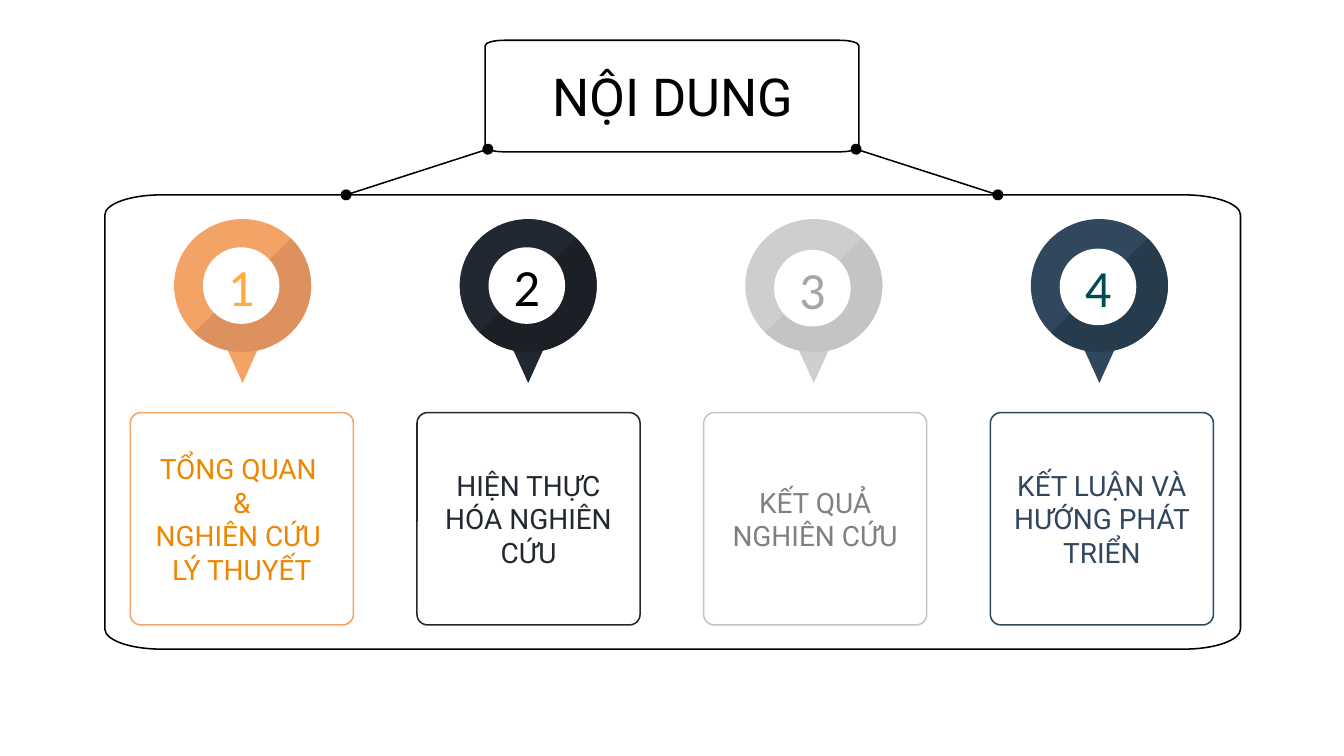
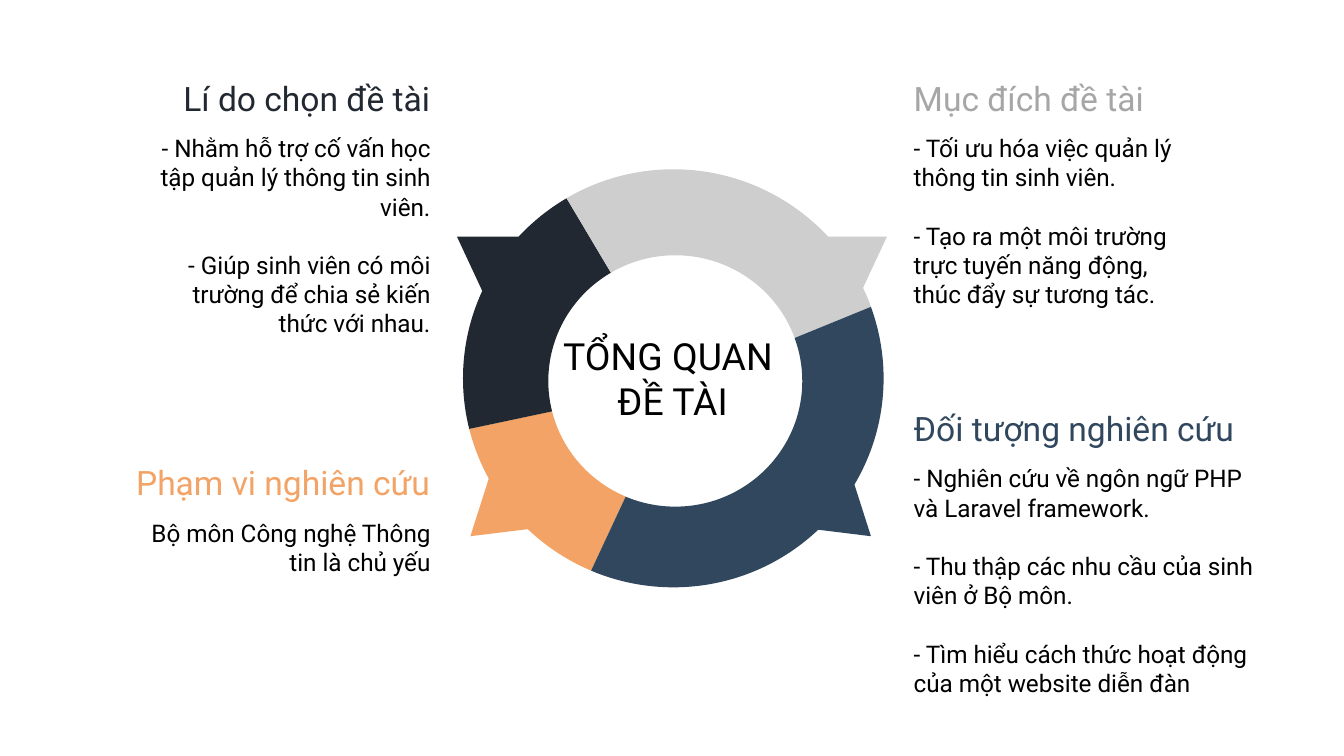
import math

import lxml.etree
import pptx
import pptx.dml.color
import pptx.enum.shapes
import pptx.enum.text
import pptx.oxml.ns
import pptx.util

PRESET = pptx.enum.shapes.MSO_SHAPE
ALIGN = pptx.enum.text.PP_ALIGN
ANCHOR = pptx.enum.text.MSO_ANCHOR
qn = pptx.oxml.ns.qn

COLORS = {
    "black": "000000", "white": "FFFFFF",
    "orange": "F2A365", "orange_shade": "DD915E", "orange_text": "EF8600", "amber": "FFAB40",
    "dark": "222831", "dark_shade": "1B1F26",
    "gray": "CECECE", "gray_shade": "C4C4C4", "gray_text": "808080", "gray_title": "A6A6A6",
    "blue": "30475E", "blue_shade": "263C4C", "teal": "004C54",
}
FONT = "Roboto"
NUMBER_FONT = "Calibri"
LINE_WIDTH = pptx.util.Pt(0.81)
INSET = pptx.util.Inches(0.1)

deck = pptx.Presentation()
deck.slide_width = pptx.util.Inches(10)
deck.slide_height = pptx.util.Inches(5.625)
# The grid has 100 columns and 56.25 rows of equal size.
CELL = deck.slide_width // 100
blank = deck.slide_layouts[6]


def draw(slide, outline, box=None, fill=None, line=None):
    """Add a preset, a text box (None) or an outline, in grid cells.

    An outline lists points (x, y) and arcs (x, y, radius x, radius y, start, end),
    with angles in degrees, clockwise from the right.
    """
    if outline is None or not isinstance(outline, list):
        frame = [round(length * CELL) for length in box]
        if outline is None:
            return slide.shapes.add_textbox(*frame)
        shape = slide.shapes.add_shape(outline, *frame)
    else:
        points, curves = [], []
        for x, y, *arc in outline:
            if not arc:
                points.append((x, y))
                continue
            radius_x, radius_y, start, end = arc
            low, high = sorted((start, end))
            stops = [low, *(a for a in range(-360, 361, 90) if low < a < high), high]
            if end < start:
                stops.reverse()
            for first, last in zip(stops, stops[1:]):
                a, b = math.radians(first), math.radians(last)
                pull = 4 / 3 * math.tan((b - a) / 4)
                unit = [(math.cos(a), math.sin(a)),
                        (math.cos(a) - pull * math.sin(a), math.sin(a) + pull * math.cos(a)),
                        (math.cos(b) + pull * math.sin(b), math.sin(b) - pull * math.cos(b)),
                        (math.cos(b), math.sin(b))]
                if first != start:
                    unit = unit[1:]
                points += [(x + radius_x * u, y + radius_y * v) for u, v in unit]
                curves.append(len(points) - 3)
        points = [(round(x * CELL), round(y * CELL)) for x, y in points]
        builder = slide.shapes.build_freeform(*points[0])
        builder.add_line_segments(points[1:], close=True)
        shape = builder.convert_to_shape()
        steps = list(next(shape.element.iter(qn("a:moveTo"))).getparent())
        for index in curves:
            curve = lxml.etree.Element(qn("a:cubicBezTo"))
            steps[index].addprevious(curve)
            for step in steps[index:index + 3]:
                curve.append(step[0])
                step.getparent().remove(step)
    shape.shadow.inherit = False
    for paint, color in ((shape.fill, fill), (shape.line.fill, line)):
        if color:
            paint.solid()
            paint.fore_color.rgb = pptx.dml.color.RGBColor.from_string(COLORS[color])
        else:
            paint.background()
    if line:
        shape.line.width = LINE_WIDTH
    return shape


def write(shape, lines, size, color, align=ALIGN.CENTER, anchor=ANCHOR.MIDDLE,
          font=FONT, inset=INSET, gap=0):
    """Fill the shape with one paragraph per line, gap points apart."""
    frame = shape.text_frame
    frame.text = "\n".join(lines)
    frame.word_wrap = True
    frame.vertical_anchor = anchor
    frame.margin_left = frame.margin_right = frame.margin_top = frame.margin_bottom = inset
    for index, para in enumerate(frame.paragraphs):
        para.alignment = align
        if index and gap:
            para.space_before = pptx.util.Pt(gap)
        for span in para.runs:
            span.font.name = font
            span.font.size = pptx.util.Pt(size)
            span.font.color.rgb = pptx.dml.color.RGBColor.from_string(COLORS[color])


# Slide 1: contents
contents = deck.slides.add_slide(blank)

CARD_LEFT, CARD_STEP, CARD_WIDTH = 9.7, 21.33, 16.6
PIN_MIDDLE, PIN_STEP = 18.05, 21.25
sections = [
    ("orange", "orange_shade", "orange", "orange_text", "amber", 18.4,
     ["TỔNG QUAN ", "&", "NGHIÊN CỨU ", "LÝ THUYẾT"]),
    ("dark", "dark_shade", "dark", "dark", "black", 18.4,
     ["HIỆN THỰC HÓA NGHIÊN CỨU"]),
    ("gray", "gray_shade", "gray_shade", "gray_text", "gray_title", 18.6,
     ["KẾT QUẢ NGHIÊN CỨU"]),
    ("blue", "blue_shade", "blue", "blue", "teal", 18.5,
     ["KẾT LUẬN VÀ HƯỚNG PHÁT TRIỂN"]),
]
for index, (ring, shade, border, text, number, hole_top, label) in enumerate(sections):
    left = CARD_LEFT + index * CARD_STEP
    card = draw(contents, PRESET.ROUNDED_RECTANGLE, (left, 30.7, CARD_WIDTH, 15.8), line=border)
    card.adjustments[0] = 0.05
    write(card, label, 15, text)

    middle = PIN_MIDDLE + index * PIN_STEP
    draw(contents, PRESET.FLOWCHART_MERGE, (middle - 1.45, 25.3, 2.9, 3.2), fill=ring)
    draw(contents, PRESET.OVAL, (middle - 5.1, 16.3, 10.2, 9.9), fill=ring)
    draw(contents, [(middle, 21.25, 5.1, 4.95, -45, 135)], fill=shade)
    hole = draw(contents, PRESET.OVAL, (middle - 2.95, hole_top, 5.7, 5.7), fill="white")
    write(hole, [str(index + 1)], 28, number, font=NUMBER_FONT, inset=0)

title = draw(contents, None, (7.8, 4.5, 84.5, 5.3))
write(title, ["NỘI DUNG"], 28, "black")

# Frames with elliptical corners: left, top, right, bottom, corner width, corner height
for left, top, right, bottom, corner_x, corner_y in [
        (36.1, 3, 63.9, 11.3, 1.4, 0.4), (7.8, 14.5, 92.3, 48.3, 4.2, 1.5)]:
    corners = [(right - corner_x, bottom - corner_y), (left + corner_x, bottom - corner_y),
               (left + corner_x, top + corner_y), (right - corner_x, top + corner_y)]
    draw(contents, [(x, y, corner_x, corner_y, 90 * quarter, 90 * quarter + 90)
                    for quarter, (x, y) in enumerate(corners)], line="black")

for ends in [(25.75, 14.5, 36.3, 11.1), (63.7, 11.1, 74.25, 14.5)]:
    link = contents.shapes.add_connector(pptx.enum.shapes.MSO_CONNECTOR.STRAIGHT,
                                         *[round(length * CELL) for length in ends])
    link.line.width = LINE_WIDTH
    link.line.color.rgb = pptx.dml.color.RGBColor.from_string(COLORS["black"])
    for tag in ("a:headEnd", "a:tailEnd"):
        lxml.etree.SubElement(link.line.fill._xPr, qn(tag), type="oval", w="med", len="med")
    lxml.etree.SubElement(link.element.spPr, qn("a:effectLst"))

# Slide 2: overview
overview = deck.slides.add_slide(blank)

# Ring edges: centre x, centre y, radius x, radius y
OUTER = (50.1, 28.15, 15.65, 15.55)
INNER = (50.25, 28.35, 9.45, 9.35)
for color, start, end in [("orange", 113, 166), ("dark", 166, 239.5),
                          ("gray", 239.5, 340), ("blue", -20, 113)]:
    draw(overview, [(*OUTER, start, end), (*INNER, end, start)], fill=color)

# Pointers on the right, mirrored to the left about half of the given sum
for right_color, left_color, mirror, pointer in [
        ("gray", "dark", 100, [(61, 17.6), (63.9, 22.1), (66, 17.6)]),
        ("blue", "orange", 99.8, [(63.3, 35.2), (59.9, 39.3), (64.8, 39.9)])]:
    draw(overview, pointer, fill=right_color)
    draw(overview, [(mirror - x, y) for x, y in pointer], fill=left_color)

center = draw(overview, None, (38.4, 18.7, 23.3, 18.9))
write(center, ["TỔNG QUAN ", "ĐỀ TÀI"], 20, "black")

HEADING_HEIGHT = 3.3
topics = [
    ("Lí do chọn đề tài", "dark", ALIGN.RIGHT, 10.2, 10.2, 5.63, 22.8, 17.1,
     ["- Nhằm hỗ trợ cố vấn học tập quản lý thông tin sinh viên.",
      "- Giúp sinh viên có môi trường để chia sẻ kiến thức với nhau."]),
    ("Phạm vi nghiên cứu", "orange", ALIGN.RIGHT, 7.8, 10.2, 34.25, 22.8, 5.8,
     ["Bộ môn Công nghệ Thông tin là chủ yếu"]),
    ("Mục đích đề tài", "gray_title", ALIGN.LEFT, 67, 67, 5.63, 22.8, 5.8,
     ["- Tối ưu hóa việc quản lý thông tin sinh viên.",
      "- Tạo ra một môi trường trực tuyến năng động, thúc đẩy sự tương tác."]),
    ("Đối tượng nghiên cứu", "blue", ALIGN.LEFT, 67, 67, 30.2, 28, 5.8,
     ["- Nghiên cứu về ngôn ngữ PHP và Laravel framework.",
      "- Thu thập các nhu cầu của sinh viên ở Bộ môn.",
      "- Tìm hiểu cách thức hoạt động của một website diễn đàn"]),
]
for name, color, align, heading_left, left, top, width, height, points in topics:
    heading = draw(overview, None,
                   (heading_left, top, left + width - heading_left, HEADING_HEIGHT))
    write(heading, [name], 18, color, align)
    body = draw(overview, None, (left, top + HEADING_HEIGHT, width, height))
    write(body, points, 13, "black", align, ANCHOR.TOP, gap=15.7)

deck.save("out.pptx")
